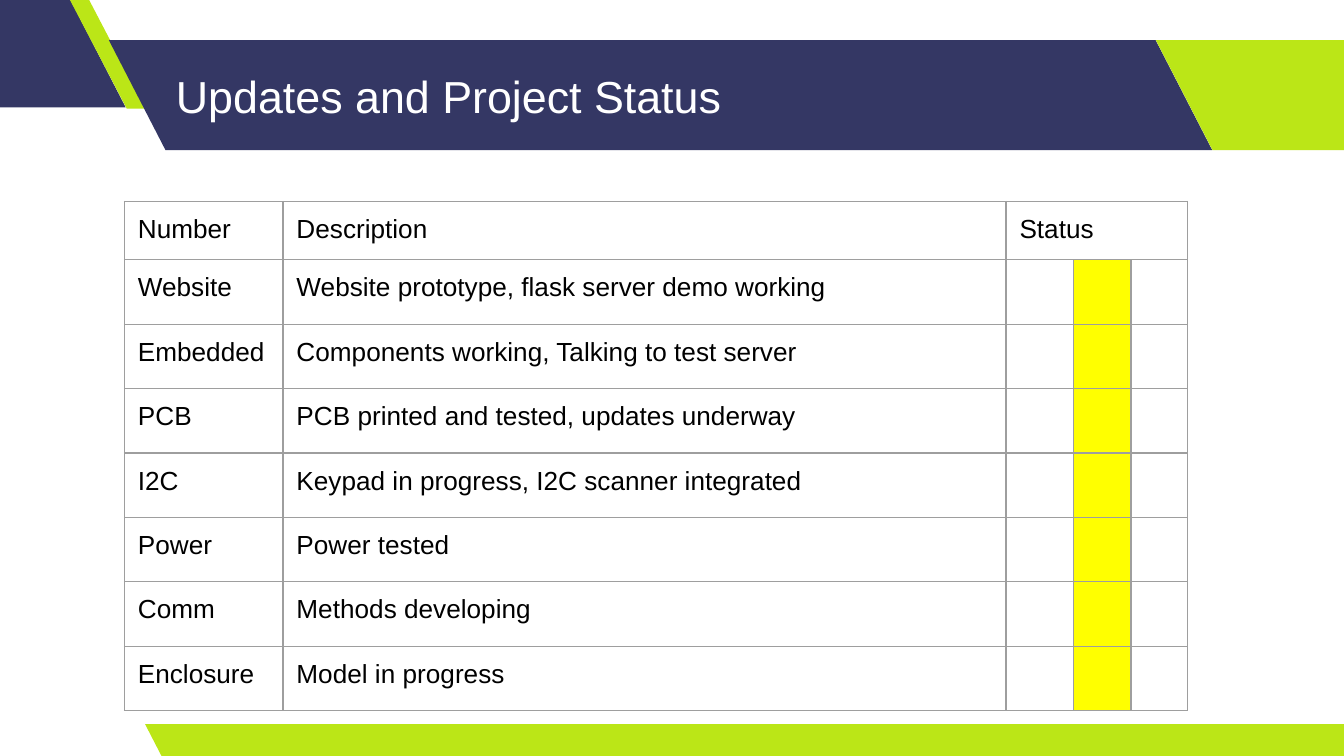
from dataclasses import dataclass
from typing import Any

from lxml.etree import SubElement
from pptx import Presentation
from pptx.dml.color import RGBColor
from pptx.enum.shapes import MSO_SHAPE as Preset
from pptx.enum.text import MSO_ANCHOR as Anchor
from pptx.oxml.ns import qn
from pptx.util import Emu, Inches, Pt

SLIDE_WIDTH = Inches(10)
SLIDE_HEIGHT = Emu(SLIDE_WIDTH * 9 // 16)
FONT = "Arial"
NAVY, LIME, YELLOW = "343764", "BBE617", "FFFF00"
WHITE, BLACK, GRAY = "FFFFFF", "000000", "9E9E9E"
PADDING = Inches(0.1)


@dataclass(frozen=True)
class Box:
    left: float
    top: float
    width: float
    height: float

    def lengths(self) -> tuple[Emu, Emu, Emu, Emu]:
        return across(self.left), down(self.top), across(self.width), down(self.height)


@dataclass(frozen=True)
class Band:
    box: Box
    color: str
    slant: float = 0.515


@dataclass(frozen=True)
class StatusRow:
    area: str
    description: str


BAND_TOP, BAND_HEIGHT = 5.3, 14.55
BANDS = [
    Band(Box(-9.85, -0.36, 19.2, BAND_HEIGHT), NAVY),
    Band(Box(5.16, -0.18, 5.7, BAND_HEIGHT), LIME, 0.75),
    Band(Box(8.1, BAND_TOP, 82.1, BAND_HEIGHT), NAVY),
    Band(Box(86, BAND_TOP, 19.2, BAND_HEIGHT), LIME),
    Band(Box(10.8, 95.8, 91.5, 4.45), LIME),
]
TITLE_BOX = Box(12.1, BAND_TOP, 73.5, BAND_HEIGHT)

HEADINGS = ["Number", "Description", "Status"]
STATUS_ROWS = [
    StatusRow("Website", "Website prototype, flask server demo working"),
    StatusRow("Embedded", "Components working, Talking to test server"),
    StatusRow("PCB", "PCB printed and tested, updates underway"),
    StatusRow("I2C", "Keypad in progress, I2C scanner integrated"),
    StatusRow("Power", "Power tested"),
    StatusRow("Comm", "Methods developing"),
    StatusRow("Enclosure", "Model in progress"),
]
COLUMN_SHARES = [11.8, 53.8, 5, 4.3, 4.2]
HEADER_SHARE, ROW_SHARE = 7.4, 8.52
FIRST_STATUS, CURRENT_STATUS, LAST_STATUS = 2, 3, 4


def across(percent: float) -> Emu:
    return Emu(round(SLIDE_WIDTH * percent / 100))


def down(percent: float) -> Emu:
    return Emu(round(SLIDE_HEIGHT * percent / 100))


def rgb(color: str) -> RGBColor:
    return RGBColor.from_string(color)


def write_text(frame: Any, text: str, *, size: float, color: str) -> None:
    paragraph = frame.paragraphs[0]
    run = paragraph.add_run()
    run.text = text
    run.font.name = FONT
    run.font.size = Pt(size)
    run.font.color.rgb = rgb(color)


def pad(container: Any) -> None:
    container.margin_left = container.margin_right = PADDING
    container.margin_top = container.margin_bottom = PADDING


def draw_band(slide: Any, band: Band) -> None:
    shape = slide.shapes.add_shape(Preset.PARALLELOGRAM, *band.box.lengths())
    shape.adjustments[0] = band.slant
    shape._element.spPr.find(qn("a:xfrm")).set("flipH", "1")
    shape.shadow.inherit = False
    shape.fill.solid()
    shape.fill.fore_color.rgb = rgb(band.color)
    shape.line.fill.background()


def draw_title(slide: Any, text: str) -> None:
    frame = slide.shapes.add_textbox(*TITLE_BOX.lengths()).text_frame
    frame.word_wrap = True
    frame.vertical_anchor = Anchor.MIDDLE
    pad(frame)
    write_text(frame, text, size=24, color=WHITE)


def add_borders(cell: Any) -> None:
    properties = cell._tc.get_or_add_tcPr()
    for side in ("a:lnL", "a:lnR", "a:lnT", "a:lnB"):
        line = SubElement(properties, qn(side), w=str(Pt(0.75)))
        fill = SubElement(line, qn("a:solidFill"))
        SubElement(fill, qn("a:srgbClr"), val=GRAY)


def draw_status_table(slide: Any) -> None:
    row_shares = [HEADER_SHARE] + [ROW_SHARE] * len(STATUS_ROWS)
    box = Box(9.26, 26.65, sum(COLUMN_SHARES), sum(row_shares))
    table = slide.shapes.add_table(
        len(row_shares), len(COLUMN_SHARES), *box.lengths()
    ).table
    table.first_row = table.horz_banding = False
    for column, share in zip(table.columns, COLUMN_SHARES):
        column.width = across(share)
    for row, share in zip(table.rows, row_shares):
        row.height = down(share)

    texts = [HEADINGS] + [[row.area, row.description] for row in STATUS_ROWS]
    for row_index, row_texts in enumerate(texts):
        for column_index in range(len(COLUMN_SHARES)):
            cell = table.cell(row_index, column_index)
            add_borders(cell)
            if row_index > 0 and column_index == CURRENT_STATUS:
                cell.fill.solid()
                cell.fill.fore_color.rgb = rgb(YELLOW)
            else:
                cell.fill.background()
            if column_index < len(row_texts):
                pad(cell)
                write_text(
                    cell.text_frame, row_texts[column_index], size=14, color=BLACK
                )
    table.cell(0, FIRST_STATUS).merge(table.cell(0, LAST_STATUS))


def main() -> None:
    presentation = Presentation()
    presentation.slide_width = SLIDE_WIDTH
    presentation.slide_height = SLIDE_HEIGHT
    slide = presentation.slides.add_slide(presentation.slide_layouts[6])
    for band in BANDS:
        draw_band(slide, band)
    draw_title(slide, "Updates and Project Status")
    draw_status_table(slide)
    presentation.save("out.pptx")


if __name__ == "__main__":
    main()
